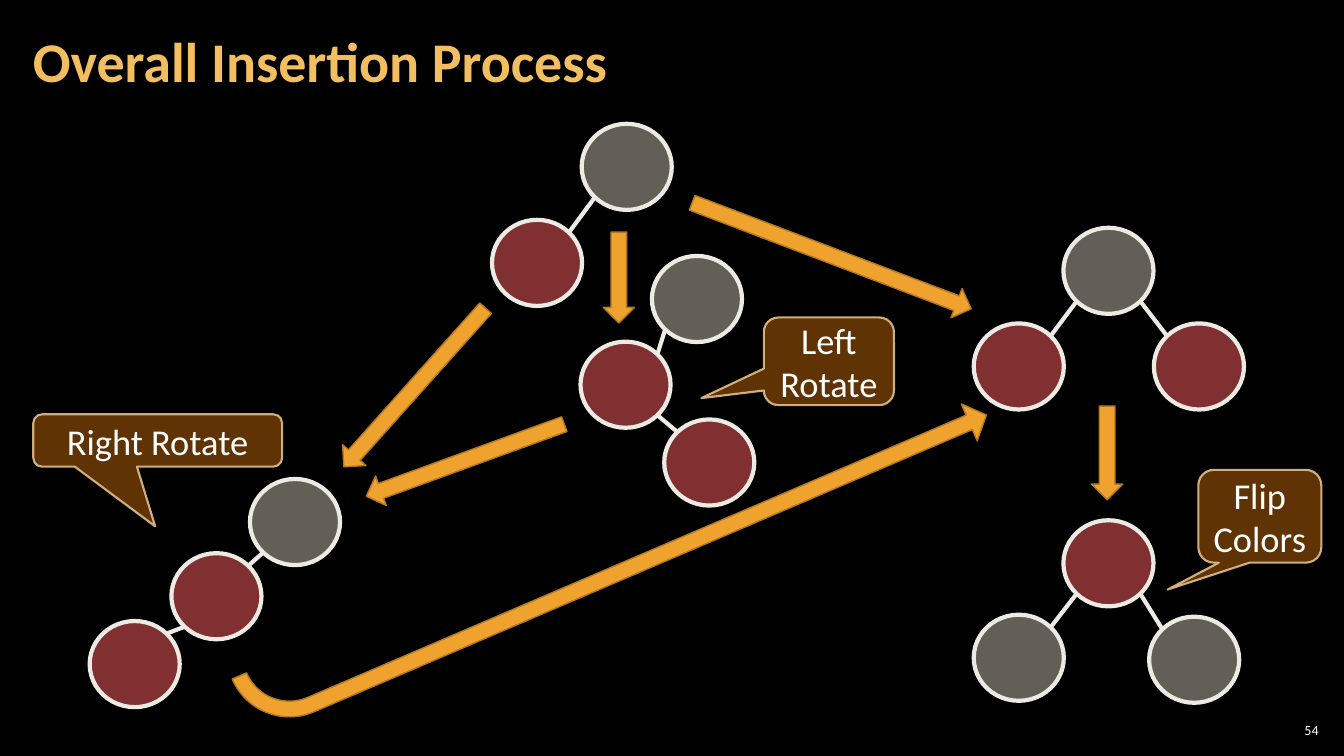
from dataclasses import dataclass
from math import copysign, sqrt

from lxml import etree
from pptx import Presentation
from pptx.dml.color import RGBColor
from pptx.enum.shapes import MSO_CONNECTOR, MSO_SHAPE
from pptx.enum.text import MSO_ANCHOR, PP_ALIGN
from pptx.oxml.ns import qn
from pptx.util import Cm, Pt

OVAL = MSO_SHAPE.OVAL
ARROW = MSO_SHAPE.RIGHT_ARROW
BENT_ARROW = MSO_SHAPE.BENT_ARROW
CALLOUT = MSO_SHAPE.ROUNDED_RECTANGULAR_CALLOUT
STRAIGHT = MSO_CONNECTOR.STRAIGHT
MIDDLE = MSO_ANCHOR.MIDDLE
LEFT, CENTER, RIGHT = PP_ALIGN.LEFT, PP_ALIGN.CENTER, PP_ALIGN.RIGHT

NODE_W, NODE_H = 2.27, 2.17
ARROW_H = 0.79


@dataclass(frozen=True)
class Theme:
    font: str = "Calibri"
    background: str = "000000"
    title: str = "F3BE60"
    text: str = "FFFFFF"
    red: str = "FF6161"
    black: str = "C7BFAC"
    outline: str = "ECEAE3"
    arrow: str = "F0A22E"
    arrow_line: str = "B27822"
    callout: str = "663606"
    callout_line: str = "F8D49E"
    title_size: int = 40
    callout_size: int = 26
    number_size: int = 10


class SlideBuilder:
    def __init__(self, slide, theme):
        self.slide = slide
        self.theme = theme
        self.paint(slide.background.fill, theme.background)

    def paint(self, fill, color, opacity=100):
        fill.solid()
        fill.fore_color.rgb = RGBColor.from_string(color)
        if opacity < 100:
            clr = fill._xPr.find(f"{qn('a:solidFill')}/{qn('a:srgbClr')}")
            etree.SubElement(clr, qn("a:alpha"), val=str(opacity * 1000))

    def shape(self, kind, box, fill, line, width, opacity=100, line_opacity=100):
        sp = self.slide.shapes.add_shape(kind, *map(Cm, box))
        sp.shadow.inherit = False
        self.paint(sp.fill, fill, opacity)
        self.paint(sp.line.fill, line, line_opacity)
        sp.line.width = Pt(width)
        return sp

    def set_text(self, sp, lines, size, color, align, bold=False, spacing=1.0):
        tf = sp.text_frame
        tf.word_wrap = True
        tf.vertical_anchor = MIDDLE
        for i, line in enumerate(lines):
            p = tf.add_paragraph() if i else tf.paragraphs[0]
            p.text = line
            p.alignment = align
            p.line_spacing = spacing
            p.font.name = self.theme.font
            p.font.size = Pt(size)
            p.font.bold = bold
            p.font.color.rgb = RGBColor.from_string(color)

    def text(self, box, line, size, color, align, side, **style):
        sp = self.slide.shapes.add_textbox(*map(Cm, box))
        tf = sp.text_frame
        tf.margin_left = tf.margin_right = Cm(side)
        tf.margin_top = tf.margin_bottom = Cm(0.1)
        self.set_text(sp, [line], size, color, align, **style)

    def edge(self, parent, child):
        dx = copysign(NODE_W / sqrt(8), child[0] - parent[0])
        dy = NODE_H / sqrt(8)
        x1, y1 = parent[0] + NODE_W / 2 + dx, parent[1] + NODE_H / 2 + dy
        x2, y2 = child[0] + NODE_W / 2 - dx, child[1] + NODE_H / 2 - dy
        cxn = self.slide.shapes.add_connector(STRAIGHT, Cm(x1), Cm(y1), Cm(x2), Cm(y2))
        self.paint(cxn.line.fill, self.theme.outline)
        cxn.line.width = Pt(3)
        etree.SubElement(cxn._element.spPr, qn("a:effectLst"))

    def tree(self, nodes):
        for color, left, top, parent in nodes:
            self.shape(OVAL, (left, top, NODE_W, NODE_H), color, self.theme.outline, 3, 50)
            if parent is not None:
                self.edge(nodes[parent][1:3], (left, top))

    def arrow(self, left, top, width, rotation, height=ARROW_H, kind=ARROW):
        th = self.theme
        sp = self.shape(kind, (left, top, width, height), th.arrow, th.arrow_line, 1)
        sp.rotation = rotation
        return sp

    def bent_arrow(self, left, top, width, height, rotation, adjustments):
        sp = self.arrow(left, top, width, rotation, height, BENT_ARROW)
        for i, value in enumerate(adjustments):
            sp.adjustments[i] = value
        sp._element.spPr.find(qn("a:xfrm")).set("flipV", "1")

    def callout(self, box, tip, lines):
        th = self.theme
        sp = self.shape(CALLOUT, box, th.callout, th.callout_line, 1.5, 95, 80)
        sp.adjustments[0], sp.adjustments[1] = tip
        self.set_text(sp, lines, th.callout_size, th.text, CENTER)


def main():
    th = Theme()
    red, black = th.red, th.black
    prs = Presentation()
    prs.slide_width, prs.slide_height = Cm(33.87), Cm(19.05)
    s = SlideBuilder(prs.slides.add_slide(prs.slide_layouts[6]), th)

    s.text((32.13, 18.14, 1.2, 0.53), "54", th.number_size, th.text, RIGHT, 0.1)
    s.text((0.53, 0.1, 26.6, 3.07), "Overall Insertion Process", th.title_size,
           th.title, LEFT, 0.3, bold=True, spacing=0.9)

    start = [(black, 14.66, 3.12, None), (red, 12.4, 5.54, 0)]
    left_line = [(black, 6.3, 12.07, None), (red, 4.32, 13.94, 0), (red, 2.26, 15.65, 1)]
    zigzag = [(black, 16.43, 6.45, None), (red, 14.63, 8.61, 0), (red, 16.74, 10.57, 1)]
    balanced = [(black, 26.8, 5.74, None), (red, 24.54, 8.15, 0), (red, 29.08, 8.15, 0)]
    flipped = [(red, 26.8, 13.11, None), (black, 24.54, 15.49, 0), (black, 28.96, 15.54, 0)]
    for nodes in (start, left_line, zigzag, balanced, flipped):
        s.tree(nodes)

    for left, top, width, rotation in (
        (17.2, 6.05, 7.52, 20.8),
        (7.77, 9.37, 5.36, 131.8),
        (14.45, 6.6, 2.29, 90),
        (9.07, 11.2, 5.31, 160),
        (26.72, 11.02, 2.36, 90),
    ):
        s.arrow(left, top, width, rotation)
    s.bent_arrow(5.41, 13.08, 20.09, 1.88, 336.8, (0.21, 0.27, 0.25, 0.86))

    for box, tip, lines in (
        ((0.84, 10.44, 6.27, 1.32), (-0.01, 1.64), ["Right Rotate"]),
        ((19.25, 8, 3.28, 2.21), (-0.98, 0.42), ["Left", "Rotate"]),
        ((30.2, 11.84, 3.1, 2.34), (-0.75, 0.79), ["Flip", "Colors"]),
    ):
        s.callout(box, tip, lines)

    prs.save("out.pptx")


if __name__ == "__main__":
    main()
